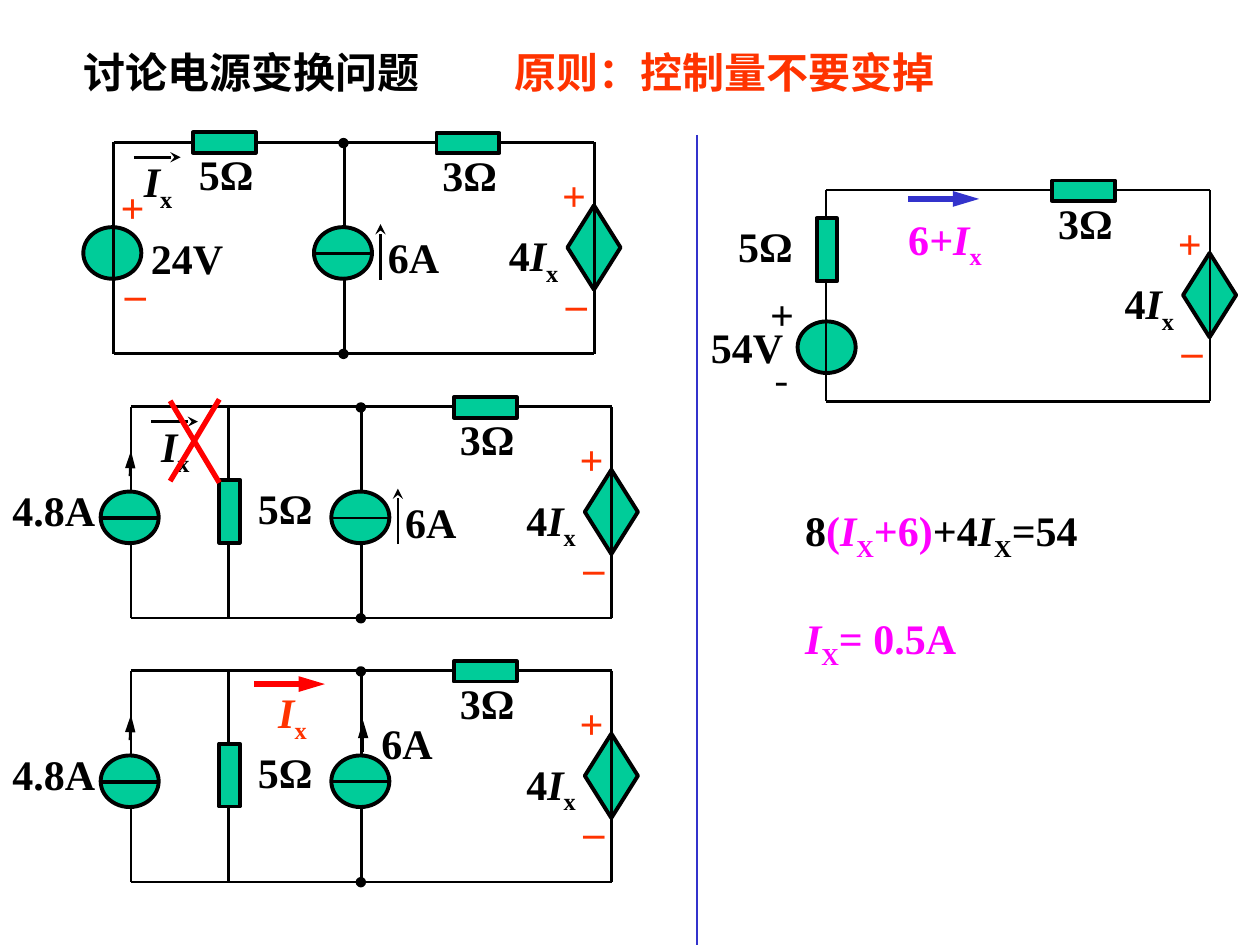
import pptx
import pptx.dml.color
import pptx.enum.shapes
import pptx.enum.text
import pptx.oxml.ns
import pptx.util
from lxml import etree

Cm, Pt = pptx.util.Cm, pptx.util.Pt
MSO = pptx.enum.shapes.MSO_SHAPE
qn = pptx.oxml.ns.qn
rgb = pptx.dml.color.RGBColor.from_string


class Theme:
    black, green, blue = "000000", "00CC99", "3333CC"
    orange, red, magenta = "FF3300", "FF0000", "FF00FF"
    font, cjk = "Times New Roman", "Noto Sans CJK SC"
    size = 24
    wire, outline, accent, thin = 1.5, 2.25, 3, 0.75


prs = pptx.Presentation()
prs.slide_width, prs.slide_height = Cm(25.4), Cm(19.05)
s = prs.slides.add_slide(prs.slide_layouts[6])


def line(x1, y1, x2, y2, color=Theme.black, width=Theme.wire, head=None):
    c = s.shapes.add_connector(pptx.enum.shapes.MSO_CONNECTOR.STRAIGHT,
                               Cm(x1), Cm(y1), Cm(x2), Cm(y2))
    c.line.color.rgb = rgb(color)
    c.line.width = Pt(width)
    if head:
        length = "lg" if head == "triangle" else "med"
        etree.SubElement(c.line._get_or_add_ln(), qn("a:tailEnd"), type=head, len=length)
    etree.SubElement(c._element.spPr, qn("a:effectLst"))


def text(content, x, y, w, h=1.27, color=Theme.black, font=Theme.font,
         bold=True, center=False, middle=False, wrap=True):
    """Content is a string, or paragraphs of (text, style, colour) runs;
    style is "" for upright, "i" for italic, "sub" for subscript."""
    tf = s.shapes.add_textbox(Cm(x), Cm(y), Cm(w), Cm(h)).text_frame
    tf.word_wrap = wrap
    tf.auto_size = pptx.enum.text.MSO_AUTO_SIZE.SHAPE_TO_FIT_TEXT
    if middle:
        tf.vertical_anchor = pptx.enum.text.MSO_ANCHOR.MIDDLE
    paragraphs = [[(content, "", color)]] if isinstance(content, str) else content
    for i, runs in enumerate(paragraphs):
        p = tf.paragraphs[0] if i == 0 else tf.add_paragraph()
        if i:
            p.space_before = Pt(29)
        if center:
            p.alignment = pptx.enum.text.PP_ALIGN.CENTER
        for value, style, run_color in runs:
            r = p.add_run()
            r.text = value
            r.font.name, r.font.size = font, Pt(Theme.size)
            r.font.bold, r.font.italic = bold, style == "i"
            r.font.color.rgb = rgb(run_color)
            rPr = r.font._element
            etree.SubElement(rPr, qn("a:ea"), typeface=Theme.cjk)
            if style == "sub":
                rPr.set("baseline", "-25000")


label = dict(center=True, middle=True, wrap=False)
text("讨论电源变换问题", 1.42, 0.81, 7.32, **label)
text("原则：控制量不要变掉", 10.08, 0.81, 9.04, color=Theme.orange, **label)
line(14.05, 2.72, 14.05, 19.05, Theme.blue, Theme.thin)

# Circuit frames: left, right, top
height = 4.26
first, second, third = (2.29, 11.98, 2.87), (2.64, 12.33, 8.2), (2.64, 12.33, 13.52)
reduced = (16.65, 24.39, 3.83)
left_circuits = first, second, third
circuits = *left_circuits, reduced
norton = second, third
middle, shunt = 4.65, 1.97
source = 1.17, 1.04
resistor = 1.27, 0.41
ohm_width = 1.75

# Wires behind the components
for x, xr, y in circuits:
    line(x, y, xr, y)
    line(xr, y, xr, y + height)
    line(x, y + height, xr, y + height)
    line(x, y, x, y + height)
for x, xr, y in left_circuits:
    line(x + middle, y, x + middle, y + height)
for x, xr, y in norton:
    line(x + shunt, y, x + shunt, y + height)

# Components: shape, left, top, size, rotation, fill
parts = []
for x, xr, y in circuits:
    parts += [(MSO.DIAMOND, xr - 0.54, y + 1.27, (1.07, 1.7), 0, Theme.green),
              (MSO.RECTANGLE, xr - 3.18, y - 0.19, resistor, 0, Theme.green)]
for x, xr, y in left_circuits:
    parts += [(MSO.OVAL, x + dx, y + 1.71, source, 0, Theme.green) for dx in (-0.61, 4.04)]
    parts += [(MSO.OVAL, x + 4.57, y + dy, (0.13, 0.13), 0, Theme.black) for dy in (-0.05, 4.2)]
for x, xr, y in norton:
    parts.append((MSO.RECTANGLE, x + 1.35, y + 1.9, resistor, 90, Theme.green))
parts += [(MSO.RECTANGLE, 3.89, 2.67, resistor, 0, Theme.green),
          (MSO.RECTANGLE, 16.03, 4.83, resistor, 90, Theme.green),
          (MSO.OVAL, 16.08, 6.48, source, 0, Theme.green)]
for kind, x, y, (w, h), rotation, fill in parts:
    sp = s.shapes.add_shape(kind, Cm(x), Cm(y), Cm(w), Cm(h))
    sp.rotation = rotation
    sp.shadow.inherit = False
    sp.fill.solid()
    sp.fill.fore_color.rgb = rgb(fill)
    sp.line.color.rgb = rgb(Theme.black)
    sp.line.width = Pt(Theme.outline)

# Dependent source and 3Ω resistor on the right of every circuit
four_ix = [[("4", "", Theme.black), ("I", "i", Theme.black), ("x", "sub", Theme.black)]]
for x, xr, y in circuits:
    line(xr, y + 1.27, xr, y + 3.12)
    text("3Ω", xr - 3.31, y + 0.02, ohm_width)
    text(four_ix, xr - 1.97, y + 1.64, 1.7)
    text("+", xr - 0.9, y + 0.42, 0.99, color=Theme.orange, **label)
    text("–", xr - 0.83, y + 2.59, 0.94, color=Theme.orange, **label)

# Source symbols
for x, xr, y in left_circuits:
    line(x + 4.04, y + 2.24, x + 5.23, y + 2.24)
for x, xr, y in norton:
    line(x - 0.63, y + 2.24, x + 0.56, y + 2.24, width=Theme.outline)
    line(x - 0.02, y + 1.4, x, y + 0.89, head="triangle")
    text("4.8A", 0, y + 1.45, 2.62)
    text("5Ω", x + 2.31, y + 1.4, ohm_width)
for x, xr, y in (first, second):
    line(x + 5.38, y + 2.77, x + 5.38, y + 1.65, head="stealth")
    line(x + 0.41, y + 0.3, x + 1.35, y + 0.3, head="stealth")
    text([[("I", "i", Theme.black), ("x", "sub", Theme.black)]], x + 0.36, y + 0.15, 1.5)
    text("6A", x + 5.28, y + 1.68, 1.73)

# First circuit: voltage source in series with 5Ω
line(2.29, 4.57, 2.29, 5.72)
text("24V", 2.79, 4.57, 2.62)
text("5Ω", 3.76, 2.87, ohm_width)
text("+", 2.18, 3.53, 0.99, color=Theme.orange, **label)
text("–", 2.26, 5.26, 0.94, color=Theme.orange, **label)

# Second circuit: the lost control current is crossed out
line(3.43, 8.08, 4.42, 9.73, Theme.red, Theme.accent)
line(4.42, 8.05, 3.43, 9.7, Theme.red, Theme.accent)

# Third circuit: control current past the 5Ω branch
line(5.13, 13.79, 6.55, 13.79, Theme.red, Theme.accent, "triangle")
line(7.32, 15.16, 7.32, 14.53, head="triangle")
text([[("I", "i", Theme.orange), ("x", "sub", Theme.orange)]], 5.36, 13.72, 1.5)
text("6A", 7.44, 14.33, 1.73)

# Reduced circuit
line(16.65, 6.48, 16.65, 7.52)
line(18.31, 4.01, 19.74, 4.01, Theme.blue, Theme.accent, "triangle")
text([[("6", "", Theme.magenta), ("+I", "i", Theme.magenta), ("x", "sub", Theme.magenta)]],
     18.06, 4.17, 2.79)
text("5Ω", 14.63, 4.32, ohm_width)
text("54V", 14.07, 6.35, 1.98, **label)
text("+", 15.27, 5.69, 0.99, **label)
text("-", 15.29, 7.01, 0.94, font=Theme.cjk, bold=False, **label)

# Solution
text([[("8", "", Theme.black), ("(", "", Theme.magenta), ("I", "i", Theme.magenta),
       ("X", "sub", Theme.magenta), ("+6)", "", Theme.magenta), ("+4", "", Theme.black),
       ("I", "i", Theme.black), ("X", "sub", Theme.black), ("=54", "", Theme.black)],
      [("I", "i", Theme.magenta), ("X", "sub", Theme.magenta), ("= 0.5A", "", Theme.magenta)]],
     15.98, 10.19, 7.14, 3.3, middle=True)

prs.save("out.pptx")
